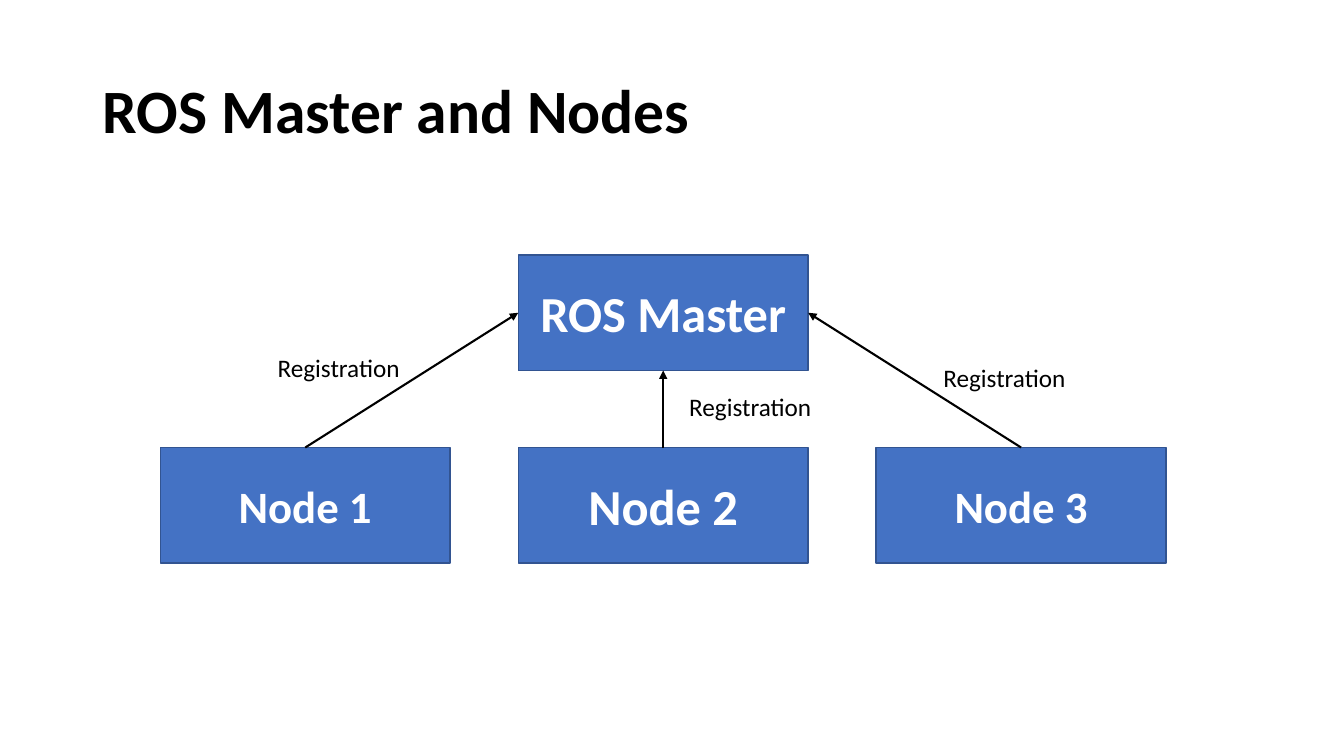
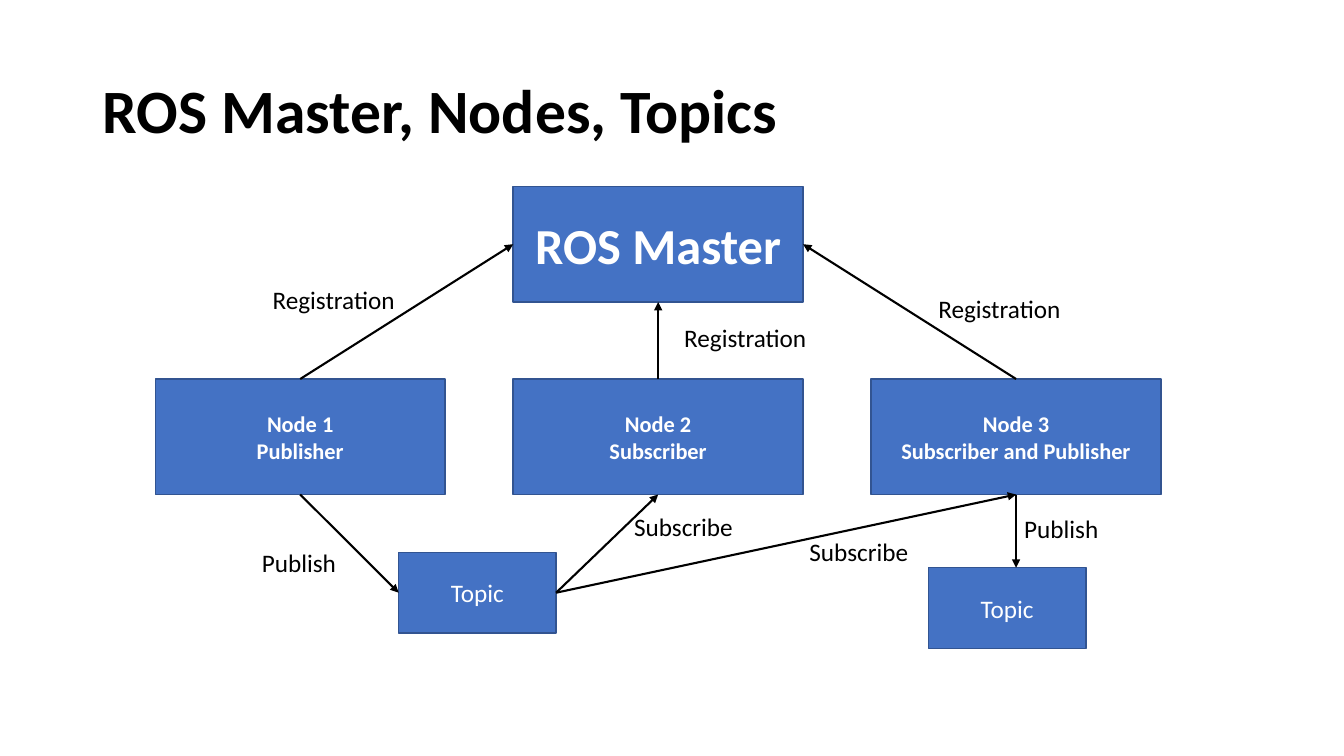
from dataclasses import dataclass

from pptx import Presentation
from pptx.dml.color import RGBColor
from pptx.enum.shapes import MSO_CONNECTOR, MSO_SHAPE
from pptx.enum.text import MSO_ANCHOR, MSO_AUTO_SIZE, PP_ALIGN
from pptx.oxml.ns import qn
from pptx.util import Inches, Pt
from lxml.etree import SubElement

FONT = "Calibri"
BLACK, WHITE, BLUE, NAVY = "000000", "FFFFFF", "4472C4", "325491"
TOP, LEFT, BOTTOM, RIGHT = range(4)

# Sizes in columns and rows of the diagram grid
NODE_SIZE = (0.81, 0.6)
TOPIC_SIZE = (0.44, 0.42)
LABEL_HEIGHT = 0.21
LABEL_WIDTHS = {"Registration": 0.41, "Publish": 0.28, "Subscribe": 0.35}


@dataclass
class Grid:
    """Diagram area: its corner and the pitch of its columns and rows, in inches."""
    left: float
    top: float
    column: float = 3.55
    row: float = 1.91

    def point(self, column, row):
        return (Inches(self.left + column * self.column),
                Inches(self.top + row * self.row))

    def area(self, column, row, columns, rows):
        return (*self.point(column, row),
                Inches(columns * self.column), Inches(rows * self.row))


def color(hex_value):
    return RGBColor.from_string(hex_value)


def write(box, lines, size, ink, bold=False, align=PP_ALIGN.LEFT, spacing=None):
    """Write one paragraph with one run per line."""
    frame = box.text_frame
    for index, line in enumerate(lines):
        para = frame.paragraphs[0] if index == 0 else frame.add_paragraph()
        para.alignment = align
        if spacing:
            para.line_spacing = spacing
        span = para.add_run()
        span.text = line
        span.font.name = FONT
        span.font.size = Pt(size)
        span.font.bold = bold
        span.font.color.rgb = color(ink)


def add_title(deck, page, text):
    width, height = deck.slide_width, deck.slide_height
    box = page.shapes.add_textbox(int(width * 0.069), int(height * 0.053),
                                  int(width * 0.8625), int(height * 0.193))
    box.text_frame.word_wrap = True
    box.text_frame.vertical_anchor = MSO_ANCHOR.MIDDLE
    write(box, [text], 44, BLACK, bold=True, spacing=0.9)


def add_block(page, area, lines, size, bold=True):
    box = page.shapes.add_shape(MSO_SHAPE.RECTANGLE, *area)
    box.shadow.inherit = False
    box.fill.solid()
    box.fill.fore_color.rgb = color(BLUE)
    box.line.color.rgb = color(NAVY)
    box.line.width = Pt(1)
    box.text_frame.word_wrap = True
    box.text_frame.vertical_anchor = MSO_ANCHOR.MIDDLE
    write(box, lines, size, WHITE, bold, PP_ALIGN.CENTER)
    return box


def add_label(page, grid, text, column, row):
    area = grid.area(column, row, LABEL_WIDTHS[text], LABEL_HEIGHT)
    box = page.shapes.add_textbox(*area)
    box.text_frame.word_wrap = False
    box.text_frame.auto_size = MSO_AUTO_SIZE.SHAPE_TO_FIT_TEXT
    write(box, [text], 18, BLACK)


def add_arrow(page, source, source_side, target=None, target_side=None, end=(0, 0)):
    """Join two boxes, or run from a box to a free end point."""
    arrow = page.shapes.add_connector(MSO_CONNECTOR.STRAIGHT, 0, 0, *end)
    arrow.begin_connect(source, source_side)
    if target is not None:
        arrow.end_connect(target, target_side)
    arrow.line.color.rgb = color(BLACK)
    arrow.line.width = Pt(1.5)
    SubElement(arrow.line._get_or_add_ln(), qn("a:tailEnd"), type="triangle")
    SubElement(arrow._element.spPr, qn("a:effectLst"))


def add_registration(page, grid, nodes):
    """Master above a row of nodes that register with it."""
    master = add_block(page, grid.area(1, 0, *NODE_SIZE), ["ROS Master"], 36)
    boxes = [add_block(page, grid.area(column, 1, *NODE_SIZE), lines, size)
             for column, (lines, size) in enumerate(nodes)]
    for box, side in zip(boxes, (LEFT, BOTTOM, RIGHT)):
        add_arrow(page, box, TOP, master, side)
    for column, row in ((0.3, 0.48), (1.45, 0.68), (2.16, 0.53)):
        add_label(page, grid, "Registration", column, row)
    return boxes


def add_topics(page, grid, nodes):
    """Topics below the nodes that publish and subscribe to them."""
    first, second, third = nodes
    shared, final = [add_block(page, grid.area(column, row, *TOPIC_SIZE),
                               ["Topic"], 18, bold=False)
                     for column, row in ((0.68, 1.9), (2.16, 1.98))]
    add_arrow(page, first, BOTTOM, shared, LEFT)
    for subscriber in (second, third):
        add_arrow(page, shared, RIGHT, subscriber, BOTTOM)
    # The last arrow drops straight down, beside the middle of its topic
    add_arrow(page, third, BOTTOM, end=(third.left + third.width // 2, final.top))
    for text, column, row in (("Publish", 0.27, 1.85), ("Publish", 2.4, 1.67),
                              ("Subscribe", 1.31, 1.66), ("Subscribe", 1.8, 1.79)):
        add_label(page, grid, text, column, row)


def add_page(deck, title):
    page = deck.slides.add_slide(deck.slide_layouts[6])
    add_title(deck, page, title)
    return page


def build_nodes_page(deck):
    page = add_page(deck, "ROS Master and Nodes")
    add_registration(page, Grid(1.59, 2.53),
                     [(["Node 1"], 32), (["Node 2"], 36), (["Node 3"], 32)])


def build_topics_page(deck):
    page = add_page(deck, "ROS Master, Nodes, Topics")
    grid = Grid(1.54, 1.85)
    roles = ("Publisher", "Subscriber", "Subscriber and Publisher")
    nodes = add_registration(page, grid, [([f"Node {number}", role], 16)
                                          for number, role in enumerate(roles, 1)])
    add_topics(page, grid, nodes)


def main():
    deck = Presentation()
    deck.slide_width, deck.slide_height = Inches(13.33), Inches(7.5)
    build_nodes_page(deck)
    build_topics_page(deck)
    deck.save("out.pptx")


if __name__ == "__main__":
    main()
